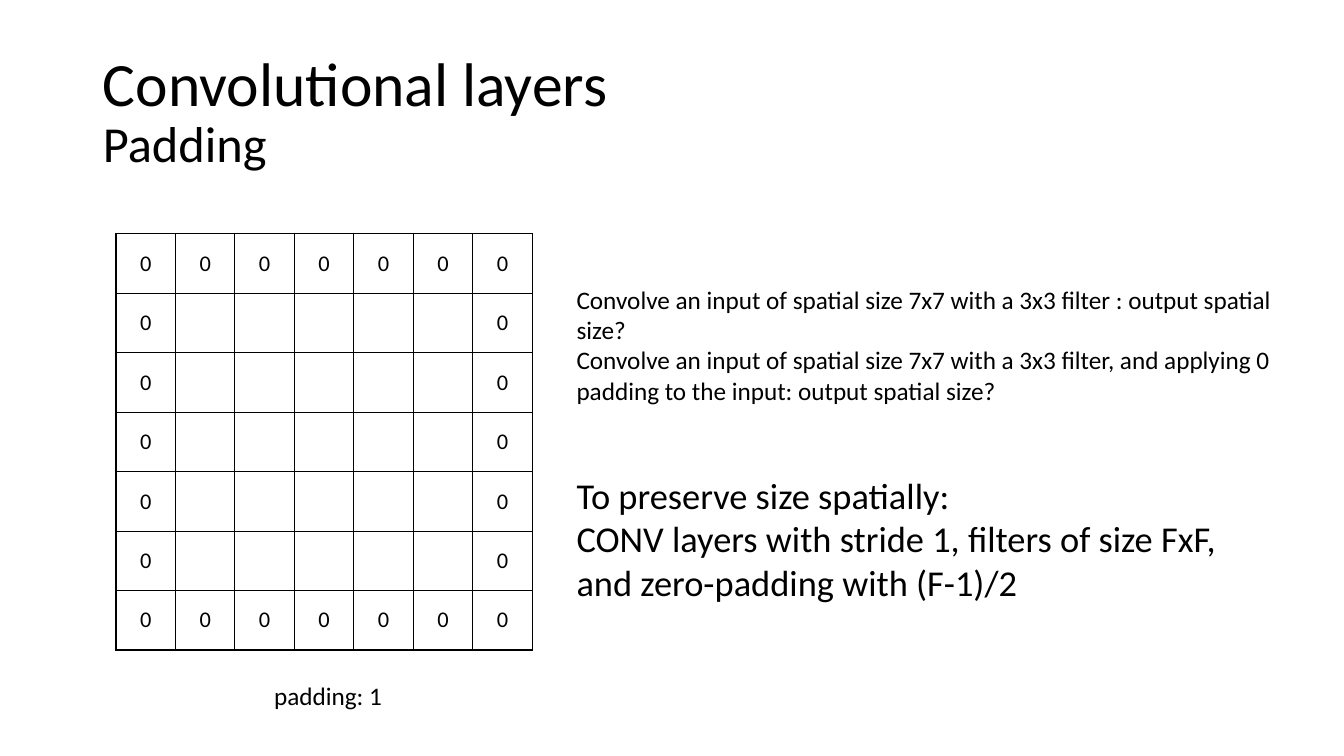
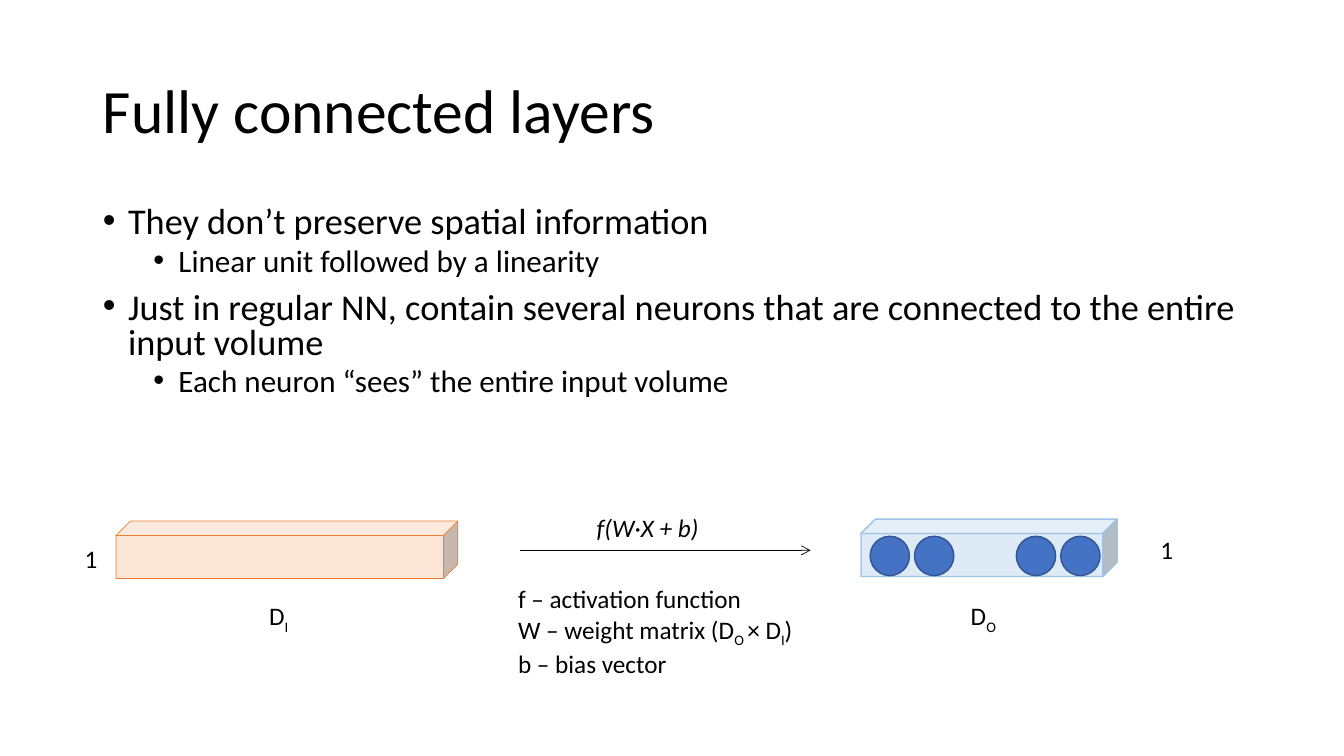
from dataclasses import dataclass

from lxml import etree
from pptx import Presentation
from pptx import util as u
from pptx.dml.color import RGBColor
from pptx.enum import shapes, text
from pptx.oxml.ns import qn


@dataclass(frozen=True)
class Theme:
    font: str = "Calibri"
    ink: str = "000000"
    input_fill: str = "FBE5D6"
    input_line: str = "ED7D31"
    output_fill: str = "DEEBF7"
    output_line: str = "9DC3E6"
    neuron_fill: str = "4472C4"
    neuron_line: str = "325491"
    title: float = 44
    subtitle: float = 36
    lead: float = 26
    label: float = 18
    cell: float = 16
    bullets: tuple = (25.9, 22.2)


THEME = Theme()
GRID = 7
CELL = 59


def px(length):
    """Turn px into EMU, at 100 px to the inch."""
    return u.Emu(length * 9144)


def box(left, top, width, height):
    return [px(length) for length in (left, top, width, height)]


def place(shape, *bounds):
    shape.left, shape.top, shape.width, shape.height = box(*bounds)


def style(run, size, italic=None):
    run.font.name = THEME.font
    run.font.size = u.Pt(size)
    run.font.italic = italic
    run.font.color.rgb = RGBColor.from_string(THEME.ink)


def add_slide(deck, layout, title, subtitle=None):
    slide = deck.slides.add_slide(deck.slide_layouts[layout])
    heading = slide.shapes.title
    place(heading, 92, 40, 1150, 145)
    frame = heading.text_frame
    frame.text = f"{title}\v{subtitle}" if subtitle else title
    frame.auto_size = text.MSO_AUTO_SIZE.NONE
    frame.vertical_anchor = text.MSO_ANCHOR.MIDDLE
    paragraph = frame.paragraphs[0]
    paragraph.alignment = text.PP_ALIGN.LEFT
    paragraph.line_spacing = 0.9
    for run, size in zip(paragraph.runs, (THEME.title, THEME.subtitle)):
        style(run, size)
    return slide


def add_bullets(slide, bounds, items):
    """Fill the body placeholder with (level, wording) items."""
    body = slide.placeholders[1]
    place(body, *bounds)
    frame = body.text_frame
    frame.text = "\n".join(wording for _, wording in items)
    frame.auto_size = text.MSO_AUTO_SIZE.NONE
    for paragraph, (level, _) in zip(frame.paragraphs, items):
        paragraph.level = level
        paragraph.line_spacing = 0.8
        paragraph.space_before = u.Pt((10, 5)[level])
        style(paragraph.runs[0], THEME.bullets[level])
        properties = paragraph._p.get_or_add_pPr()
        properties.set("marL", str(px((25, 75)[level])))
        properties.set("indent", str(px(-25)))
        etree.SubElement(properties, qn("a:buFont"), typeface="Arial")
        etree.SubElement(properties, qn("a:buChar"), char="•")


def add_text(slide, bounds, lines, size=THEME.label, wrap=True, italic=None):
    """Add one paragraph a line; every second part between bars is a subscript."""
    frame = slide.shapes.add_textbox(*box(*bounds)).text_frame
    frame.word_wrap = wrap
    frame.auto_size = text.MSO_AUTO_SIZE.SHAPE_TO_FIT_TEXT
    frame.text = "\n".join(lines)
    for paragraph, line in zip(frame.paragraphs, lines):
        paragraph.clear()
        for index, part in enumerate(line.split("|")):
            run = paragraph.add_run()
            run.text = part
            style(run, size, italic)
            if index % 2:
                run.font._element.set("baseline", "-25000")


def add_solid(slide, preset, bounds, fill, line, weight=1):
    solid = slide.shapes.add_shape(preset, *box(*bounds))
    solid.shadow.inherit = False
    solid.fill.solid()
    solid.fill.fore_color.rgb = RGBColor.from_string(fill)
    solid.line.color.rgb = RGBColor.from_string(line)
    solid.line.width = u.Pt(weight)


def add_arrow(slide, start, end, y):
    arrow = slide.shapes.add_connector(
        shapes.MSO_CONNECTOR.STRAIGHT, px(start), px(y), px(end), px(y))
    arrow.line.color.rgb = RGBColor.from_string(THEME.ink)
    arrow.line.width = u.Pt(0.5)
    etree.SubElement(arrow.line._get_or_add_ln(), qn("a:tailEnd"), type="arrow")
    etree.SubElement(arrow._element.spPr, qn("a:effectLst"))


def outline(cell):
    properties = cell._tc.get_or_add_tcPr()
    for side in ("lnL", "lnR", "lnT", "lnB"):
        border = etree.SubElement(properties, qn(f"a:{side}"), w=str(u.Pt(1)))
        fill = etree.SubElement(border, qn("a:solidFill"))
        etree.SubElement(fill, qn("a:srgbClr"), val=THEME.ink)
    cell.fill.background()


def add_padded_grid(slide, left, top):
    """Draw a square grid with a border of zeros."""
    side = GRID * CELL
    grid = slide.shapes.add_table(GRID, GRID, *box(left, top, side, side)).table
    grid.first_row = grid.horz_banding = False
    for line in (*grid.rows, *grid.columns):
        if hasattr(line, "height"):
            line.height = px(CELL)
        else:
            line.width = px(CELL)
    edges = (0, GRID - 1)
    for index, cell in enumerate(grid.iter_cells()):
        outline(cell)
        row, column = divmod(index, GRID)
        if row in edges or column in edges:
            cell.text_frame.text = "0"
            cell.vertical_anchor = text.MSO_ANCHOR.MIDDLE
            cell.margin_left = cell.margin_right = px(7)
            cell.margin_top = cell.margin_bottom = 0
            paragraph = cell.text_frame.paragraphs[0]
            paragraph.alignment = text.PP_ALIGN.CENTER
            style(paragraph.runs[0], THEME.cell)


def padding_slide(deck):
    slide = add_slide(deck, 5, "Convolutional layers", "Padding")
    add_padded_grid(slide, 115, 232)
    add_text(slide, (562, 464, 667, 141), [
        "To preserve size spatially:",
        "CONV layers with stride 1, filters of size FxF, and zero-padding with (F-1)/2",
    ], THEME.lead)
    add_text(slide, (562, 277, 710, 131), [
        "Convolve an input of spatial size 7x7 with a 3x3 filter : output spatial size?",
        "Convolve an input of spatial size 7x7 with a 3x3 filter, and applying 0 "
        "padding to the input: output spatial size?",
    ])
    add_text(slide, (262, 670, 129, 40), ["padding: 1"], wrap=False)


def connected_slide(deck):
    slide = add_slide(deck, 1, "Fully connected layers")
    add_bullets(slide, (92, 200, 1150, 203), [
        (0, "They don’t preserve spatial information"),
        (1, "Linear unit followed by a linearity"),
        (0, "Just in regular NN, contain several neurons that are connected "
            "to the entire input volume"),
        (1, "Each neuron “sees” the entire input volume"),
    ])
    cube, ellipse = shapes.MSO_SHAPE.CUBE, shapes.MSO_SHAPE.OVAL
    add_solid(slide, cube, (115, 517, 339, 57),
              THEME.input_fill, THEME.input_line, 0.5)
    add_solid(slide, cube, (854, 515, 254, 57),
              THEME.output_fill, THEME.output_line)
    for pair in (863, 1008):
        for left in (pair, pair + 44):
            add_solid(slide, ellipse, (left, 532, 39, 39),
                      THEME.neuron_fill, THEME.neuron_line)
    for left, top, width, label in (
            (74, 534, 22, "1"), (257, 591, 56, "D|I"),
            (953, 591, 56, "D|O"), (1141, 525, 22, "1")):
        add_text(slide, (left, top, width, 40), [label])
    add_arrow(slide, 516, 804, 546)
    add_text(slide, (582, 503, 122, 40), ["f(W·X + b)"], wrap=False, italic=True)
    add_text(slide, (504, 574, 300, 101), [
        "f – activation function",
        "W – weight matrix (D|O |× D|I|)",
        "b – bias vector",
    ], wrap=False)


def main():
    deck = Presentation()
    deck.slide_width, deck.slide_height = px(1333), px(750)
    padding_slide(deck)
    connected_slide(deck)
    deck.save("out.pptx")


if __name__ == "__main__":
    main()
